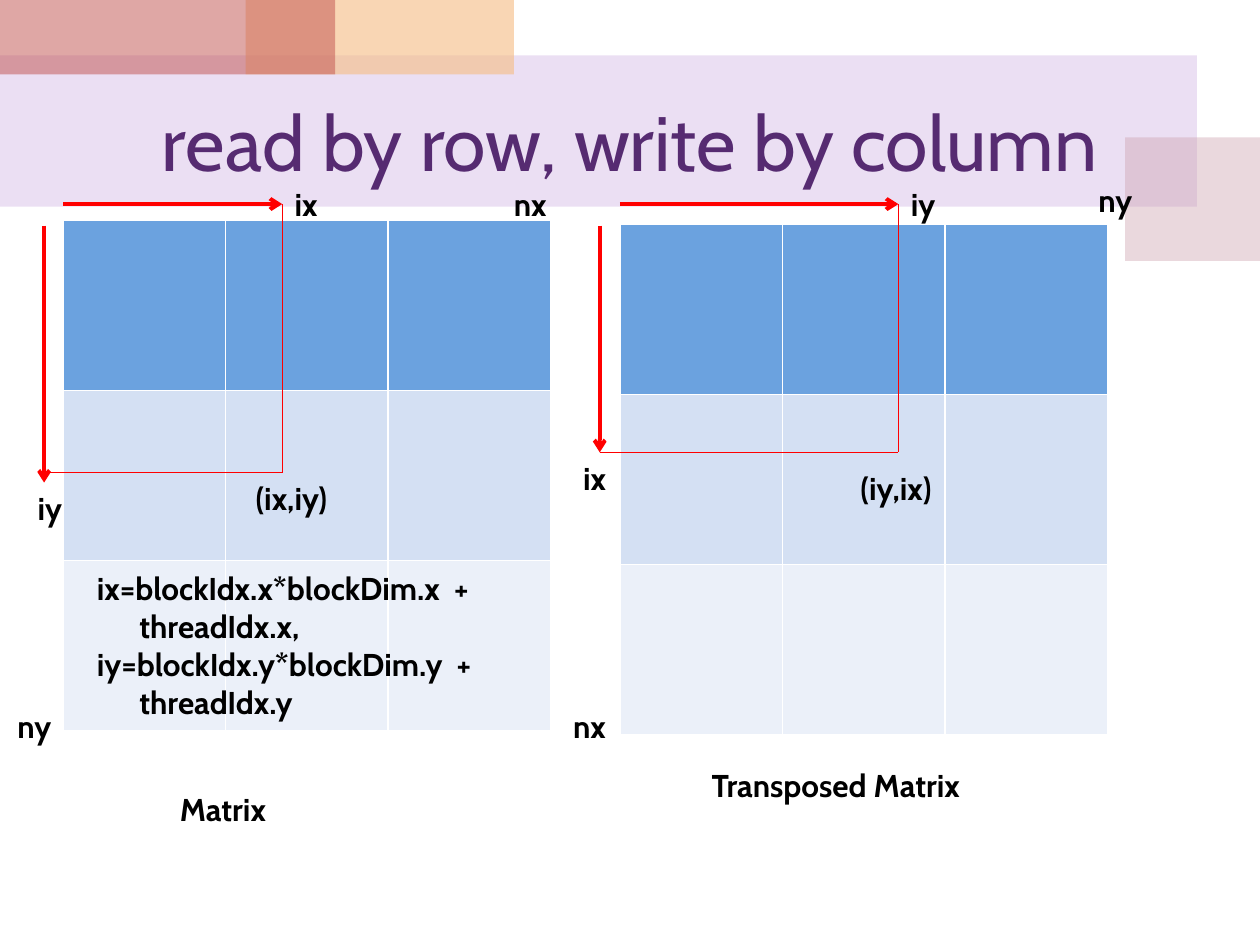
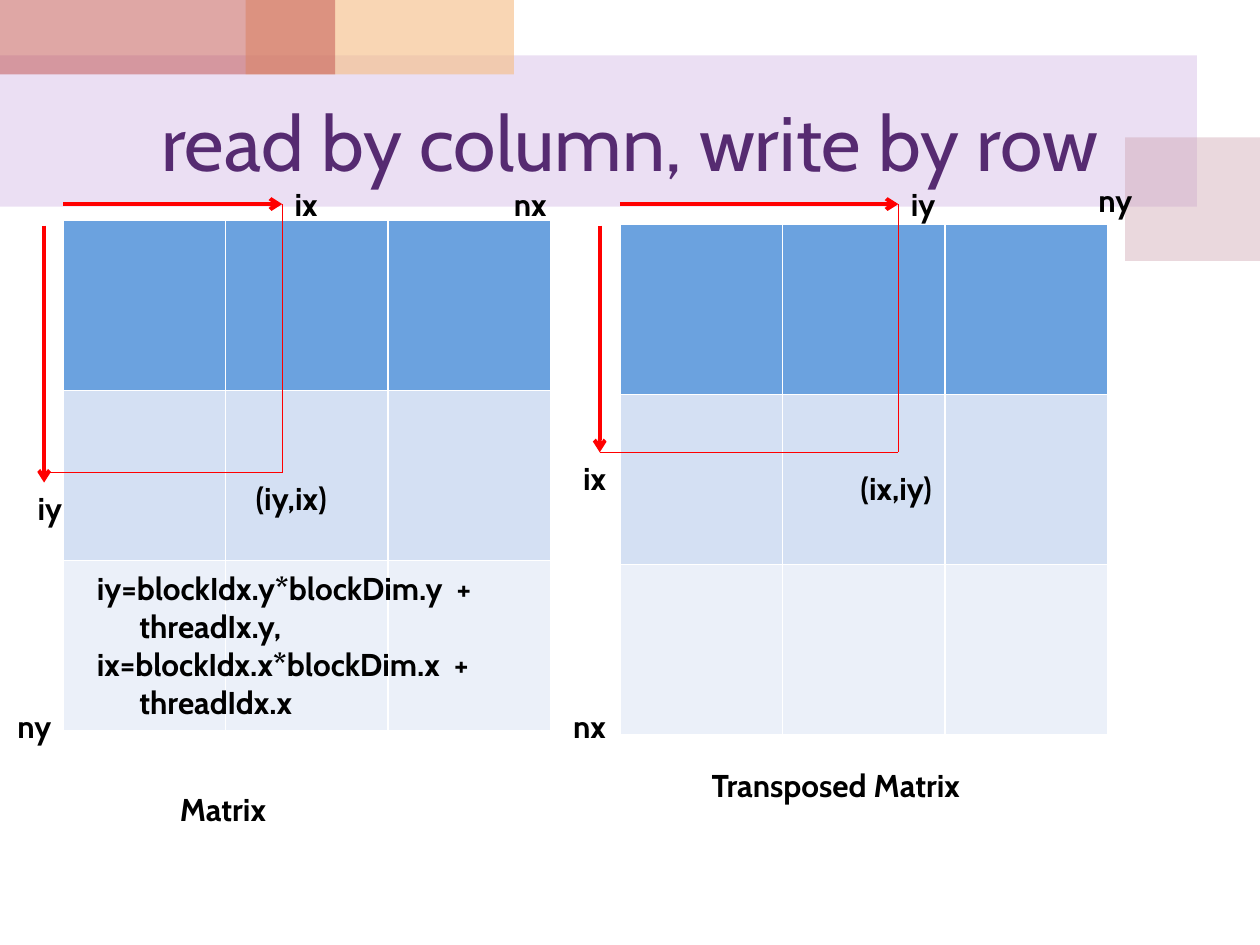
"""Build two slides on reading and writing a matrix when transposing it."""
from lxml import etree
from pptx import Presentation
from pptx.dml.color import RGBColor
from pptx.enum.shapes import MSO_CONNECTOR, MSO_SHAPE
from pptx.enum.text import MSO_ANCHOR, PP_ALIGN
from pptx.oxml.ns import qn
from pptx.util import Inches, Pt

RECT = MSO_SHAPE.RECTANGLE
LINE = MSO_CONNECTOR.STRAIGHT
MIDDLE = MSO_ANCHOR.MIDDLE
CENTER = PP_ALIGN.CENTER

FONT = "Cabin"
PURPLE = RGBColor(0x56, 0x2B, 0x71)
BLACK = RGBColor(0, 0, 0)
RED = RGBColor(0xFF, 0, 0)
ROWS = [
    RGBColor(0x6B, 0xA2, 0xDF),
    RGBColor(0xD4, 0xE0, 0xF3),
    RGBColor(0xEB, 0xF0, 0xF9),
]
BANDS = [
    ((0, 0.44, 9.5, 1.2), RGBColor(0xBF, 0x98, 0xD8), 30),
    ((8.93, 1.09, 1.07, 0.98), RGBColor(0xCC, 0x9E, 0xAC), 40),
    ((1.95, 0, 2.13, 0.59), RGBColor(0xF5, 0xBC, 0x83), 60),
    ((0, 0, 2.66, 0.59), RGBColor(0xC0, 0x50, 0x4D), 50),
]

TITLE = (0.5, 0.59, 9, 1.05)
COLS, CELL_W, CELL_H = 3, 1.29, 1.35
AXIS_Y, SIDE_Y = 1.62, 1.79
LABEL_H, CODE_H = 0.4, 1.31

PANELS = [
    {
        "corner": (0.5, 1.75), "side": 0.35, "point": (2.24, 3.75), "tip": 3.83,
        "labels": [
            ("Matrix", 1.33, 6.22, 2.44),
            ("ix", 2.24, 1.42, 0.55),
            ("iy", 0.2, 3.83, 0.63),
            ("nx", 3.98, 1.42, 0.63),
            ("ny", 0.04, 5.56, 0.47),
        ],
        "spot": (1.93, 3.75, 0.87),
    },
    {
        "corner": (4.92, 1.78), "side": 4.76, "point": (7.13, 3.59), "tip": 3.59,
        "labels": [
            ("Transposed Matrix", 5.55, 6.03, 2.52),
            ("iy", 7.13, 1.42, 0.55),
            ("ix", 4.53, 3.59, 0.47),
            ("ny", 8.62, 1.39, 0.47),
            ("nx", 4.45, 5.56, 0.47),
        ],
        "spot": (6.73, 3.67, 0.79),
    },
]

SLIDES = [
    {
        "title": "read by row, write by column",
        "spots": ["(ix,iy)", "(iy,ix)"],
        "code": [
            "ix=blockIdx.x*blockDim.x  +",
            "      threadIdx.x,",
            "iy=blockIdx.y*blockDim.y  +",
            "      threadIdx.y",
        ],
    },
    {
        "title": "read by column, write by row",
        "spots": ["(iy,ix)", "(ix,iy)"],
        "code": [
            "iy=blockIdx.y*blockDim.y  +",
            "      threadIx.y,",
            "ix=blockIdx.x*blockDim.x  +",
            "      threadIdx.x",
        ],
    },
]


def inches(*sizes):
    return [Inches(size) for size in sizes]


def style(para, size, color, bold):
    font = para.font
    font.name, font.size, font.bold = FONT, Pt(size), bold
    font.color.rgb = color


def add_bands(slide, layout):
    tree = layout.shapes._spTree
    for num, (box, color, alpha) in enumerate(BANDS):
        band = slide.shapes.add_shape(RECT, *inches(*box))
        band.shadow.inherit = False
        band.name = f"Band {num + 1}"
        band.fill.solid()
        band.fill.fore_color.rgb = color
        band.line.fill.background()
        node = band._element
        shade = node.spPr.find(".//" + qn("a:srgbClr"))
        etree.SubElement(shade, qn("a:alpha"), val=str(alpha * 1000))
        node.nvSpPr.cNvPr.set("id", str(20 + num))
        tree.insert(2 + num, node)


def add_title(slide, text):
    title = slide.shapes.title
    title.left, title.top, title.width, title.height = inches(*TITLE)
    frame = title.text_frame
    frame.text = text
    frame.vertical_anchor = MIDDLE
    para = frame.paragraphs[0]
    para.alignment = CENTER
    style(para, 44, PURPLE, False)


def add_text(slide, lines, left, top, width, height=LABEL_H):
    box = slide.shapes.add_textbox(*inches(left, top, width, height))
    frame = box.text_frame
    frame.word_wrap = True
    frame.text = "\n".join(lines)
    for para in frame.paragraphs:
        style(para, 18, BLACK, True)


def add_line(slide, start, end, arrow=False):
    line = slide.shapes.add_connector(LINE, *inches(*start, *end))
    line.line.color.rgb = RED
    line.line.width = Pt(2.25 if arrow else 0.75)
    if arrow:
        etree.SubElement(line.line._get_or_add_ln(), qn("a:tailEnd"), type="arrow")
    etree.SubElement(line._element.spPr, qn("a:effectLst"))


def add_grid(slide, corner):
    size = COLS * CELL_W, len(ROWS) * CELL_H
    grid = slide.shapes.add_table(len(ROWS), COLS, *inches(*corner, *size)).table
    for row, color in zip(grid.rows, ROWS):
        for cell in row.cells:
            cell.fill.solid()
            cell.fill.fore_color.rgb = color


def add_panel(slide, panel, spot):
    left, side, tip = panel["corner"][0], panel["side"], panel["tip"]
    x, y = panel["point"]
    add_grid(slide, panel["corner"])
    add_line(slide, (left, AXIS_Y), (x, AXIS_Y), True)
    add_line(slide, (side, SIDE_Y), (side, tip), True)
    add_line(slide, (x, AXIS_Y), (x, y))
    add_line(slide, (side, y), (x, y))
    for text, *place in panel["labels"]:
        add_text(slide, [text], *place)
    add_text(slide, [spot], *panel["spot"])


def main():
    deck = Presentation()
    deck.slide_width, deck.slide_height = inches(10, 7.5)
    layout = deck.slide_layouts[5]
    for num, data in enumerate(SLIDES):
        slide = deck.slides.add_slide(layout)
        if num == 0:
            add_bands(slide, layout)
        add_title(slide, data["title"])
        for panel, spot in zip(PANELS, data["spots"]):
            add_panel(slide, panel, spot)
        add_text(slide, data["code"], 0.67, 4.47, 3.62, CODE_H)
    deck.save("out.pptx")


if __name__ == "__main__":
    main()
